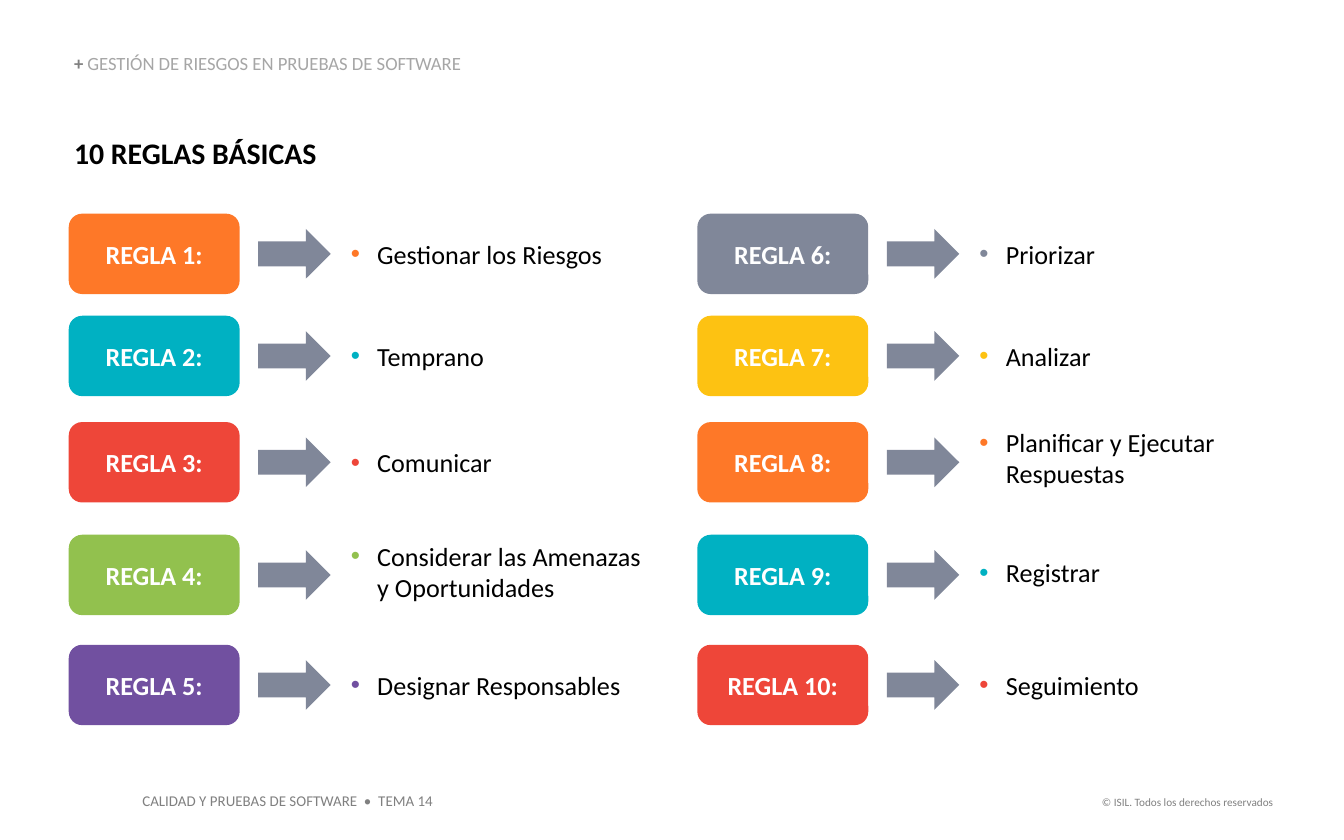
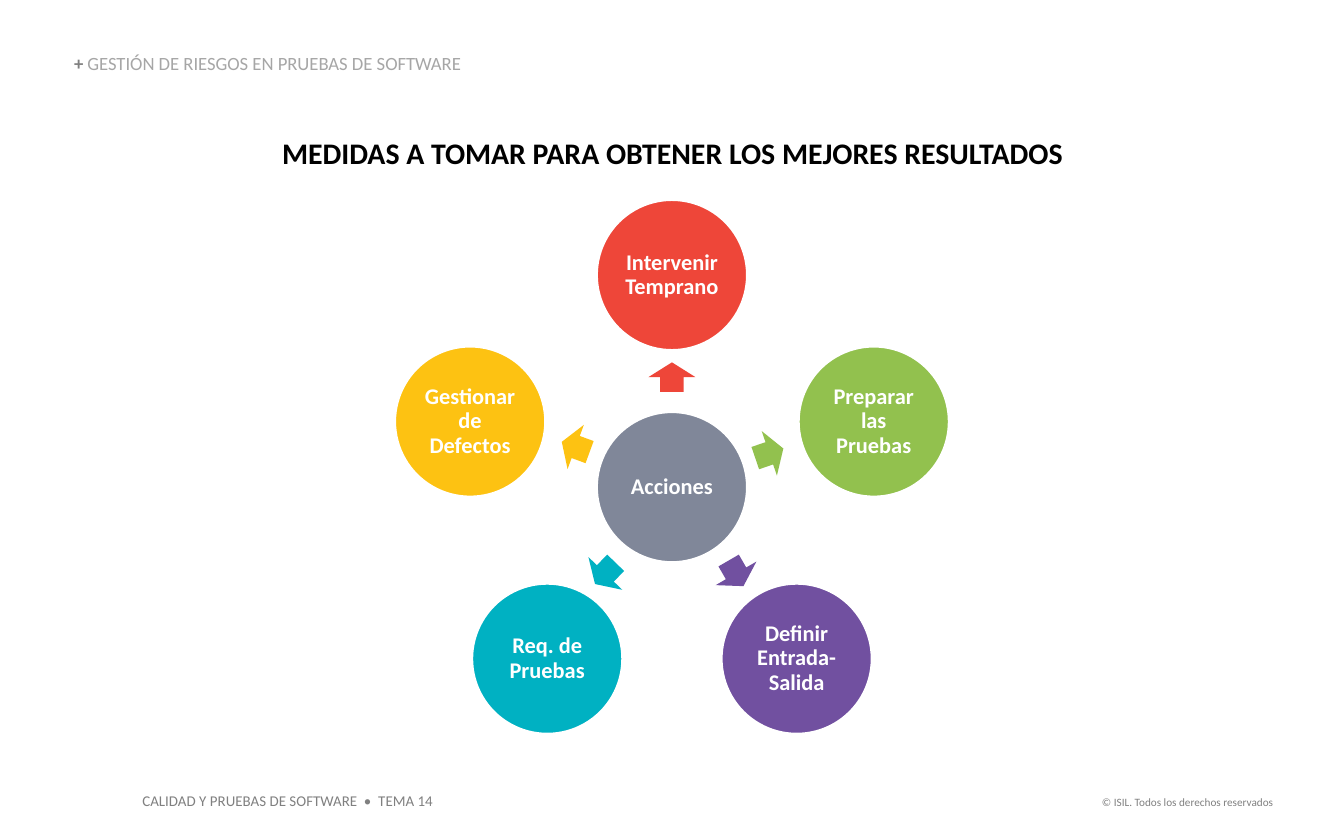
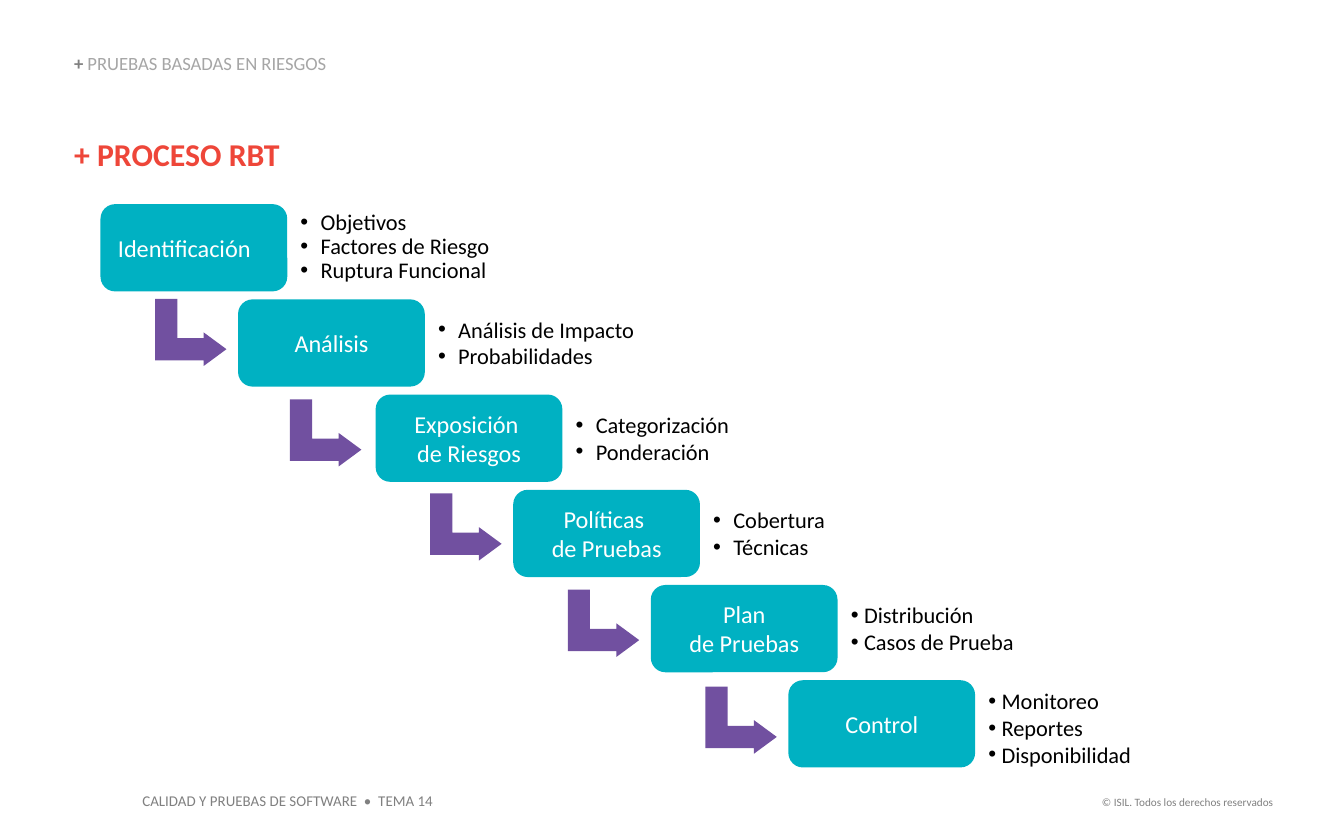
from copy import deepcopy
from dataclasses import dataclass
from math import cos, radians, sin
from typing import NamedTuple

from lxml import etree
from pptx import Presentation
from pptx.dml.color import RGBColor
from pptx.enum.shapes import MSO_SHAPE
from pptx.enum.text import MSO_ANCHOR, MSO_AUTO_SIZE, PP_ALIGN
from pptx.oxml.ns import qn
from pptx.util import Cm, Pt

LEFT, CENTER, RIGHT = PP_ALIGN.LEFT, PP_ALIGN.CENTER, PP_ALIGN.RIGHT
TOP, MIDDLE, BOTTOM = MSO_ANCHOR.TOP, MSO_ANCHOR.MIDDLE, MSO_ANCHOR.BOTTOM
GROW = MSO_AUTO_SIZE.SHAPE_TO_FIT_TEXT
ROUND_RECT = MSO_SHAPE.ROUNDED_RECTANGLE
RIGHT_ARROW = MSO_SHAPE.RIGHT_ARROW
BENT_ARROW = MSO_SHAPE.BENT_UP_ARROW
OVAL = MSO_SHAPE.OVAL

BLACK = RGBColor(0x00, 0x00, 0x00)
WHITE = RGBColor(0xFF, 0xFF, 0xFF)
GRAY = RGBColor(0x80, 0x80, 0x80)
LIGHT_GRAY = RGBColor(0xA6, 0xA6, 0xA6)
SLATE = RGBColor(0x80, 0x87, 0x99)
ORANGE = RGBColor(0xFE, 0x78, 0x28)
TEAL = RGBColor(0x00, 0xB1, 0xC2)
RED = RGBColor(0xEE, 0x46, 0x39)
GREEN = RGBColor(0x92, 0xC1, 0x4E)
PURPLE = RGBColor(0x71, 0x50, 0xA0)
YELLOW = RGBColor(0xFD, 0xC2, 0x12)

FONT = "Calibri"
TITLE_ONLY = 5
NO_INSETS = (0, 0, 0, 0)
DEFAULT_INSETS = (0.25, 0.13, 0.25, 0.13)
CIRCLE_INSETS = (0.05, 0.05, 0.05, 0.05)


class Box(NamedTuple):
    """Left, top, width and height in centimetres."""
    x: float
    y: float
    w: float
    h: float

    def lengths(self):
        return [Cm(v) for v in self]


class Style(NamedTuple):
    size: float
    color: RGBColor
    bold: bool = False


class Bullet(NamedTuple):
    color: RGBColor
    indent: float


@dataclass
class Rule:
    text: str
    color: RGBColor
    text_dy: float = 0.46
    text_height: float = 0.6


@dataclass
class Action:
    text: str
    color: RGBColor
    arrow_dx: float
    arrow_dy: float
    rotation: float


@dataclass
class Step:
    label: str
    notes: list[str]
    indent: float = 0.38
    spacing: float = 1.0
    align: PP_ALIGN = CENTER
    arrow: tuple[float, float] | None = None


RULE_COLUMNS = (1.3, 13.18)
RULE_ROWS = (4.04, 5.97, 7.98, 10.11, 12.19)
RULES = [
    Rule("Gestionar los Riesgos", ORANGE),
    Rule("Temprano", TEAL),
    Rule("Comunicar", RED),
    Rule("Considerar las Amenazas y Oportunidades", GREEN, 0.1, 1.19),
    Rule("Designar Responsables", PURPLE),
    Rule("Priorizar", SLATE),
    Rule("Analizar", YELLOW),
    Rule("Planificar y Ejecutar Respuestas", ORANGE, 0.08, 1.19),
    Rule("Registrar", TEAL, 0.41),
    Rule("Seguimiento", RED),
]

HUB_X, HUB_Y = 12.7, 9.21
RING_RADIUS = 4.01
CIRCLE_SIZE = 2.87
ACTIONS = [
    Action("Intervenir Temprano", RED, 0, -2.08, 270),
    Action("Preparar las Pruebas", GREEN, 1.84, -0.64, 341.1),
    Action("Definir Entrada-Salida", PURPLE, 1.21, 1.63, 60),
    Action("Req. de Pruebas", TEAL, -1.26, 1.63, 134.1),
    Action("Gestionar de Defectos", YELLOW, -1.82, -0.76, 200.2),
]

STEPS = [
    Step("Identificación", ["Objetivos", "Factores de Riesgo", "Ruptura Funcional"],
         spacing=0.9, align=LEFT, arrow=(1.07, 1.75)),
    Step("Análisis", ["Análisis de Impacto", "Probabilidades"], arrow=(1.02, 1.85)),
    Step("Exposición \nde Riesgos", ["Categorización", "Ponderación"], arrow=(1.07, 1.83)),
    Step("Políticas \nde Pruebas", ["Cobertura", "Técnicas"], arrow=(1.07, 1.85)),
    Step("Plan\nde Pruebas", ["Distribución", "Casos de Prueba"], 0.25, arrow=(1.07, 1.88)),
    Step("Control", ["Monitoreo", "Reportes", "Disponibilidad"], 0.25),
]


def set_attributes(target, values: dict) -> None:
    for name, value in values.items():
        setattr(target, name, value)


def set_frame(tf, insets=DEFAULT_INSETS, anchor=TOP, wrap=True, grow=False) -> None:
    margins = ("margin_left", "margin_top", "margin_right", "margin_bottom")
    set_attributes(tf, dict(zip(margins, map(Cm, insets))))
    set_attributes(tf, {"vertical_anchor": anchor, "word_wrap": wrap})
    if grow:
        tf.auto_size = GROW


def add_run(p, text: str, style: Style) -> None:
    r = p.add_run()
    r.text = text
    set_attributes(r.font, {"name": FONT, "size": Pt(style.size), "bold": style.bold})
    r.font.color.rgb = style.color


def add_bullet(p, bullet: Bullet) -> None:
    pPr = p._p.get_or_add_pPr()
    pPr.set("marL", str(Cm(bullet.indent)))
    pPr.set("indent", str(-Cm(bullet.indent)))
    color = etree.SubElement(pPr, qn("a:buClr"))
    etree.SubElement(color, qn("a:srgbClr"), val=str(bullet.color))
    etree.SubElement(pPr, qn("a:buFont"), typeface="Arial")
    etree.SubElement(pPr, qn("a:buChar"), char="•")


def write(p, text: str, style: Style, align=LEFT, spacing=1.0, bullet=None) -> None:
    """Fill a paragraph; a newline in the text becomes a line break."""
    if bullet:
        add_bullet(p, bullet)
    set_attributes(p, {"alignment": align, "line_spacing": spacing})
    for i, line in enumerate(text.split("\n")):
        if i:
            p.add_line_break()
        add_run(p, line, style)
    for br in p._p.findall(qn("a:br")):
        br.append(deepcopy(p.runs[0].font._element))


def add_text(slide, box: Box, lines: list[str], style: Style, align=LEFT,
             spacing=1.0, bullet=None, **frame) -> None:
    tf = slide.shapes.add_textbox(*box.lengths()).text_frame
    set_frame(tf, grow=True, **frame)
    for i, line in enumerate(lines):
        p = tf.add_paragraph() if i else tf.paragraphs[0]
        write(p, line, style, align, spacing, bullet)


def add_filled(slide, kind, box: Box, color: RGBColor, rotation=0.0, adjustments=()):
    sp = slide.shapes.add_shape(kind, *box.lengths())
    sp.shadow.inherit = False
    sp.fill.solid()
    sp.fill.fore_color.rgb = color
    sp.line.fill.background()
    sp.rotation = rotation
    for i, value in enumerate(adjustments):
        sp.adjustments[i] = value
    return sp


def add_labelled(slide, kind, box: Box, color: RGBColor, text: str, style: Style,
                 align=CENTER, spacing=1.0, insets=DEFAULT_INSETS):
    sp = add_filled(slide, kind, box, color)
    set_frame(sp.text_frame, insets, MIDDLE)
    write(sp.text_frame.paragraphs[0], text, style, align, spacing)
    return sp


def add_base_slide(prs, section: str, title: str, title_box: Box,
                   title_style=Style(16, BLACK, True), align=LEFT):
    """Add a slide with its section line, title and footers."""
    slide = prs.slides.add_slide(prs.slide_layouts[TITLE_ONLY])
    heading = slide.shapes.title
    set_attributes(heading, dict(zip(("left", "top", "width", "height"), title_box.lengths())))
    set_frame(heading.text_frame, NO_INSETS, grow=True)
    write(heading.text_frame.paragraphs[0], title, title_style, align)

    tf = slide.shapes.add_textbox(*Box(1.4, 1.04, 9.17, 0.38).lengths()).text_frame
    set_frame(tf, NO_INSETS, BOTTOM, grow=True)
    p = tf.paragraphs[0]
    p.line_spacing = 0.9
    add_run(p, "+ ", Style(10, GRAY, True))
    add_run(p, section, Style(10, LIGHT_GRAY))

    add_text(slide, Box(20.02, 14.91, 4.29, 0.51),
             ["© ISIL. Todos los derechos reservados"], Style(6, GRAY), RIGHT, wrap=False)
    add_text(slide, Box(2.44, 14.83, 6.15, 0.61),
             ["CALIDAD Y PRUEBAS DE SOFTWARE  •  TEMA 14"], Style(8, GRAY), wrap=False)
    return slide


def build_rules(prs) -> None:
    slide = add_base_slide(prs, "GESTIÓN DE RIESGOS EN PRUEBAS DE SOFTWARE",
                           "10 REGLAS BÁSICAS", Box(1.4, 2.54, 12.7, 0.69))
    for i, rule in enumerate(RULES):
        column, row = divmod(i, len(RULE_ROWS))
        x, y = RULE_COLUMNS[column], RULE_ROWS[row]
        add_text(slide, Box(x + 5.33, y + rule.text_dy, 5.56, rule.text_height),
                 [rule.text], Style(14, BLACK), bullet=Bullet(rule.color, 0.5),
                 insets=NO_INSETS)
        add_filled(slide, RIGHT_ARROW, Box(x + 3.58, y + 0.29, 1.37, 0.94), SLATE)
        add_labelled(slide, ROUND_RECT, Box(x, y, 3.23, 1.52), rule.color,
                     f"REGLA {i + 1}:", Style(14, WHITE, True))


def add_circle(slide, x: float, y: float, color: RGBColor, text: str) -> None:
    """Add a labelled circle centred on x, y."""
    half = CIRCLE_SIZE / 2
    sp = add_labelled(slide, OVAL, Box(x - half, y - half, CIRCLE_SIZE, CIRCLE_SIZE), color,
                      text, Style(12, WHITE, True), spacing=0.9, insets=CIRCLE_INSETS)
    sp.line.color.rgb = WHITE
    sp.line.width = Pt(2)


def build_actions(prs) -> None:
    slide = add_base_slide(prs, "GESTIÓN DE RIESGOS EN PRUEBAS DE SOFTWARE",
                           "MEDIDAS A TOMAR PARA OBTENER LOS MEJORES RESULTADOS",
                           Box(4.65, 2.54, 16.13, 0.69), align=CENTER)
    add_circle(slide, HUB_X, HUB_Y, SLATE, "Acciones")
    arrow_w, arrow_h = 0.56, 0.89
    for i, action in enumerate(ACTIONS):
        angle = radians(360 / len(ACTIONS) * i)
        add_circle(slide, HUB_X + RING_RADIUS * sin(angle),
                   HUB_Y - RING_RADIUS * cos(angle), action.color, action.text)
        arrow_box = Box(HUB_X + action.arrow_dx - arrow_w / 2,
                        HUB_Y + action.arrow_dy - arrow_h / 2, arrow_w, arrow_h)
        add_filled(slide, RIGHT_ARROW, arrow_box, action.color, action.rotation)


def build_process(prs) -> None:
    slide = add_base_slide(prs, "PRUEBAS BASADAS EN RIESGOS", "+ PROCESO RBT",
                           Box(1.4, 2.54, 5.59, 0.74), Style(17, RED, True))
    width, height = 3.53, 1.65
    for i, step in enumerate(STEPS):
        x, y = 1.9 + 2.6 * i, 3.86 + 1.8 * i
        add_labelled(slide, ROUND_RECT, Box(x, y, width, height), TEAL, step.label,
                     Style(13, WHITE), step.align)
        notes_height = 0.25 + 0.52 * len(step.notes) * step.spacing
        notes_dy = max(0, (height - notes_height) / 2)
        add_text(slide, Box(x + width, y + notes_dy, 5, notes_height), step.notes,
                 Style(12, BLACK), spacing=step.spacing, bullet=Bullet(BLACK, step.indent))
        if step.arrow:
            dx, dy = step.arrow
            add_filled(slide, BENT_ARROW, Box(x + dx, y + dy, 1.27, 1.35), PURPLE,
                       90, (0.33, 0.25, 0.34))


def main() -> None:
    prs = Presentation()
    prs.slide_width, prs.slide_height = Cm(25.4), Cm(15.88)
    build_rules(prs)
    build_actions(prs)
    build_process(prs)
    prs.save("out.pptx")


if __name__ == "__main__":
    main()
